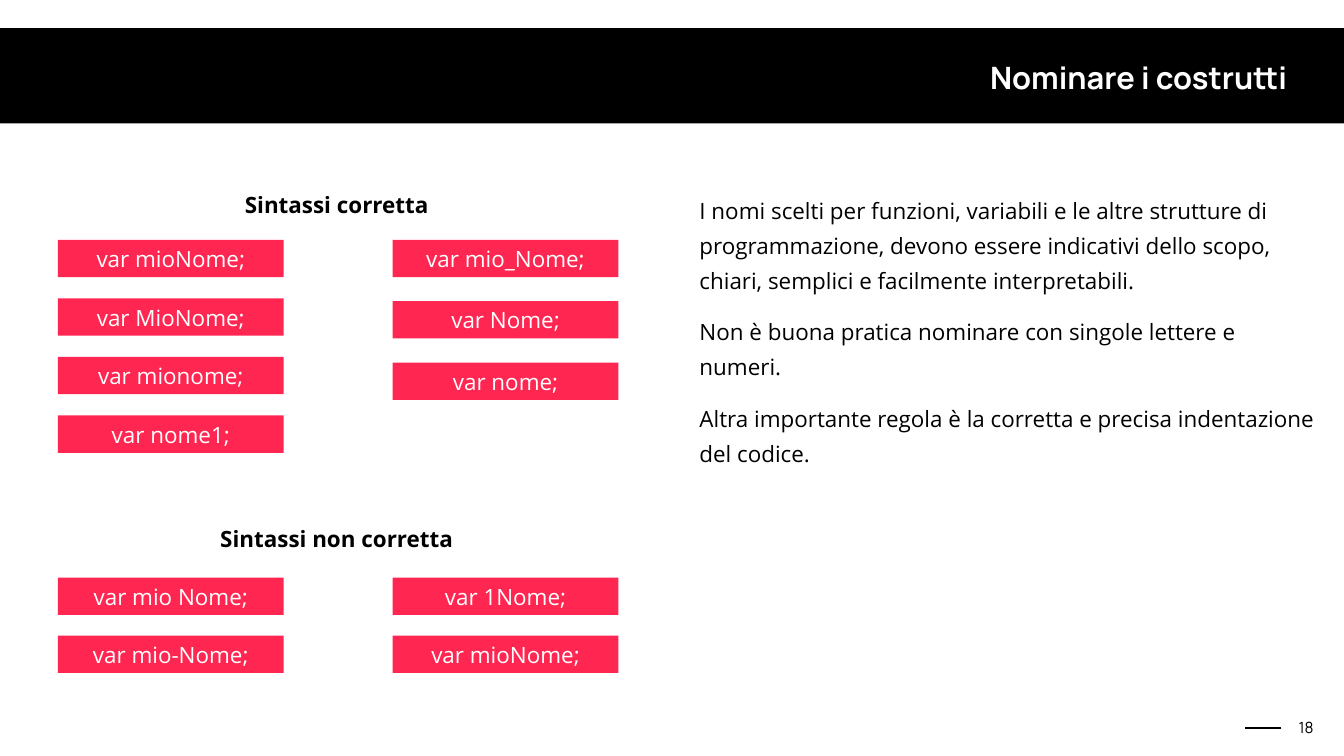
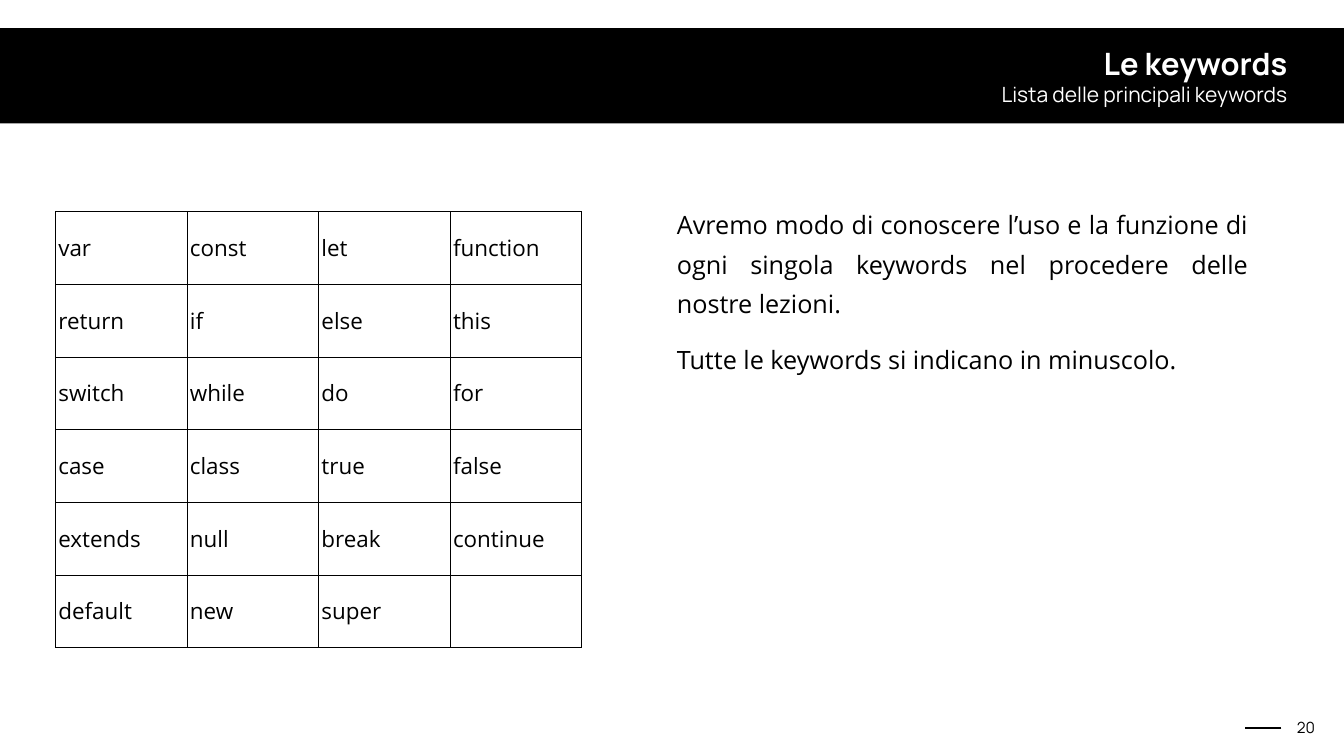
from dataclasses import dataclass

from lxml.etree import SubElement
from pptx import Presentation
from pptx.dml.color import RGBColor
from pptx.enum.shapes import MSO_CONNECTOR, MSO_SHAPE
from pptx.enum.text import MSO_ANCHOR, PP_ALIGN
from pptx.oxml import parse_xml
from pptx.oxml.ns import nsdecls, qn
from pptx.util import Cm, Pt


@dataclass(frozen=True)
class Theme:
    black: RGBColor = RGBColor(0x00, 0x00, 0x00)
    white: RGBColor = RGBColor(0xFF, 0xFF, 0xFF)
    accent: RGBColor = RGBColor(0xFF, 0x27, 0x51)
    display_font: str = "Manrope"
    body_font: str = "Open Sans"
    title_size: int = 44
    subtitle_size: int = 30
    large_size: int = 36
    text_size: int = 32
    number_size: int = 22
    wide_inset: float = 0.25
    narrow_inset: float = 0.15


def apply(target, values):
    for name, value in values.items():
        setattr(target, name, value)


class Deck:
    def __init__(self, theme):
        self.theme = theme
        self.presentation = Presentation()
        apply(self.presentation, {"slide_width": Cm(67.73), "slide_height": Cm(38.1)})
        self.slide = None

    def new_slide(self, number):
        """Start a slide with the title band, the footer rule and its number."""
        theme = self.theme
        self.slide = self.presentation.slides.add_slide(self.presentation.slide_layouts[6])
        self.rectangle((-0.53, 1.42, 68.78, 4.8), theme.black)
        self.line((64.57, 36.68), (62.76, 36.68))
        self.text((65.18, 36.07, 1.27, 1.22), [number], size=theme.number_size,
                  font=theme.display_font, align=PP_ALIGN.CENTER,
                  anchor=MSO_ANCHOR.BOTTOM, inset=theme.narrow_inset, wrap=False)

    def rectangle(self, box, color):
        shape = self.slide.shapes.add_shape(MSO_SHAPE.RECTANGLE, *map(Cm, box))
        shape.shadow.inherit = False
        shape.fill.solid()
        shape.fill.fore_color.rgb = color
        shape.line.fill.background()
        return shape

    def line(self, start, end):
        rule = self.slide.shapes.add_connector(
            MSO_CONNECTOR.STRAIGHT, *map(Cm, (*start, *end)))
        rule.line.color.rgb = self.theme.black
        rule.line.width = Pt(2)
        SubElement(rule._element.spPr, qn("a:effectLst"))

    def fill_frame(self, frame, lines, size=None, font=None, color=None, bold=False,
                   align=PP_ALIGN.LEFT, spacing=None, gap=0):
        """Fill a text frame, one paragraph for each line, with a gap between them."""
        theme = self.theme
        for index, line in enumerate(lines):
            paragraph = frame.add_paragraph() if index else frame.paragraphs[0]
            apply(paragraph, {"alignment": align, "line_spacing": spacing,
                              "space_before": Pt(gap if index else 0)})
            run = paragraph.add_run()
            run.text = line
            apply(run.font, {"name": font or theme.body_font, "bold": bold,
                             "size": Pt(size or theme.text_size)})
            run.font.color.rgb = color or theme.black
        return frame

    def set_frame(self, frame, anchor, inset, wrap=True):
        sides = ("left", "top", "right", "bottom")
        apply(frame, {"word_wrap": wrap, "vertical_anchor": anchor,
                      **{f"margin_{side}": Cm(inset) for side in sides}})

    def text(self, box, lines, anchor=MSO_ANCHOR.TOP, inset=None, wrap=True, **style):
        frame = self.slide.shapes.add_textbox(*map(Cm, box)).text_frame
        self.set_frame(frame, anchor, inset or self.theme.wide_inset, wrap)
        return self.fill_frame(frame, lines, **style)

    def title(self, box, heading, subtitle=None):
        theme = self.theme
        frame = self.text(box, [heading, subtitle] if subtitle else [heading],
                          size=theme.title_size, font=theme.display_font,
                          color=theme.white, bold=True, align=PP_ALIGN.RIGHT,
                          anchor=MSO_ANCHOR.MIDDLE, inset=theme.narrow_inset)
        if subtitle:
            apply(frame.paragraphs[1].runs[0].font,
                  {"size": Pt(theme.subtitle_size), "bold": False})

    def heading(self, box, caption):
        self.text(box, [caption], bold=True, wrap=False)

    def body(self, box, paragraphs, **style):
        self.text(box, paragraphs, spacing=1.3, gap=24, **style)

    def code_tag(self, left, top, code):
        tag = self.rectangle((left, top, 11.38, 1.88), self.theme.accent)
        self.set_frame(tag.text_frame, MSO_ANCHOR.MIDDLE, self.theme.wide_inset)
        self.fill_frame(tag.text_frame, [code], color=self.theme.white,
                        align=PP_ALIGN.CENTER)

    def grid(self, left, top, column_width, row_height, rows):
        row_count, column_count = len(rows), len(rows[0])
        table = self.slide.shapes.add_table(
            row_count, column_count, Cm(left), Cm(top),
            Cm(column_width * column_count), Cm(row_height * row_count)).table
        apply(table, {"first_row": False, "horz_banding": False})
        for column in table.columns:
            column.width = Cm(column_width)
        for row, words in zip(table.rows, rows):
            row.height = Cm(row_height)
            for cell, word in zip(row.cells, words):
                self.cell(cell, word)

    def cell(self, cell, word):
        sides = ("left", "top", "right", "bottom")
        apply(cell, {"vertical_anchor": MSO_ANCHOR.MIDDLE,
                     **{f"margin_{side}": Cm(self.theme.narrow_inset) for side in sides}})
        cell.fill.background()
        if word:
            self.fill_frame(cell.text_frame, [word])
        properties = cell._tc.get_or_add_tcPr()
        for index, side in enumerate("LRTB"):
            properties.insert(index, parse_xml(
                f'<a:ln{side} {nsdecls("a")} w="{int(Pt(1))}"><a:solidFill>'
                f'<a:srgbClr val="{self.theme.black}"/></a:solidFill></a:ln{side}>'))


def naming_slide(deck):
    deck.new_slide("18")
    deck.body((35, 9.27, 31.6, 14.53), [
        "I nomi scelti per funzioni, variabili e le altre strutture di programmazione, "
        "devono essere indicativi dello scopo, chiari, semplici e facilmente interpretabili.",
        "Non è buona pratica nominare con singole lettere e numeri.",
        "Altra importante regola è la corretta e precisa indentazione del codice.",
    ])
    deck.heading((12.09, 9.37, 9.88, 1.88), "Sintassi corretta")
    deck.heading((10.85, 26.21, 12.37, 1.88), "Sintassi non corretta")
    first_column, second_column = 2.92, 19.79
    examples = [
        (first_column, 12.09, 2.95,
         ["var mioNome;", "var MioNome;", "var mionome;", "var nome1;"]),
        (second_column, 12.09, 3.09, ["var mio_Nome;", "var Nome;", "var nome;"]),
        (first_column, 29.11, 2.92, ["var mio Nome;", "var mio-Nome;"]),
        (second_column, 29.11, 2.92, ["var 1Nome;", "var mioNome;"]),
    ]
    for left, top, step, codes in examples:
        for index, code in enumerate(codes):
            deck.code_tag(left, top + index * step, code)
    deck.title((14.96, 2.79, 50.06, 2.16), "Nominare i costrutti")


def keywords_slide(deck):
    deck.new_slide("20")
    deck.body((33.86, 9.86, 29.29, 9.19), [
        "Avremo modo di conoscere l’uso e la funzione di ogni singola keywords "
        "nel procedere delle nostre lezioni.",
        "Tutte le keywords si indicano in minuscolo.",
    ], size=deck.theme.large_size, align=PP_ALIGN.JUSTIFY)
    deck.grid(2.79, 10.67, 6.63, 3.66, [
        ["var", "const", "let", "function"],
        ["return", "if", "else", "this"],
        ["switch", "while", "do", "for"],
        ["case", "class", "true", "false"],
        ["extends", "null", "break", "continue"],
        ["default", "new", "super", ""],
    ])
    deck.title((28.3, 2.03, 36.73, 3.53), "Le keywords", "Lista delle principali keywords")


def main():
    deck = Deck(Theme())
    naming_slide(deck)
    keywords_slide(deck)
    deck.presentation.save("out.pptx")


if __name__ == "__main__":
    main()
